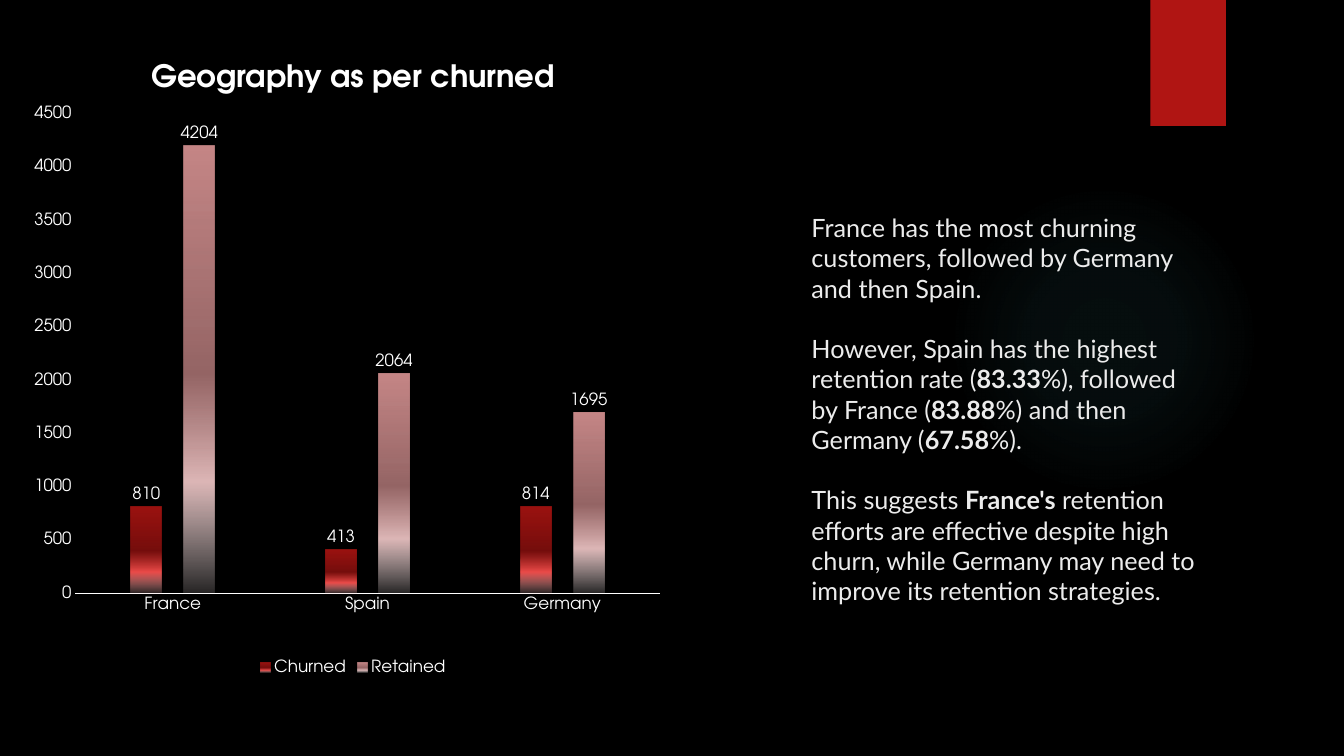
"""Build a slide that charts churned and retained customers by country."""
from dataclasses import dataclass

import pptx
import pptx.chart.data
import pptx.dml.color
import pptx.enum.chart
import pptx.enum.shapes
import pptx.oxml
import pptx.oxml.ns
import pptx.util
from pptx.util import Inches


@dataclass(frozen=True)
class Theme:
    """Colours, fonts and type sizes of the slide."""
    background: str = "000000"
    accent: str = "B01513"
    chart_text: str = "FFFFFF"
    body_text: str = "ECECEC"
    chart_font: str = "TeX Gyre Adventor"
    body_font: str = "Lato"
    title_size: float = 22
    label_size: float = 12
    body_size: float = 18
    body_gap: float = 21.6
    axis_width: float = 0.75
    glow: tuple = ((0, "50B9C1", 7), (36, "50B9C1", 6), (69, "50B9C1", 0))
    churned: tuple = ((0, "9C1311", 100), (51, "9C1311", 75),
                      (75, "EB4B49", 100), (100, "F8C3C2", 15))
    retained: tuple = ((0, "C68787", 100), (51, "C68787", 75),
                       (75, "DDB7B7", 100), (100, "F4E7E7", 15))


THEME = Theme()
COUNTRIES = ("France", "Spain", "Germany")
SERIES = (
    ("Churned", (810, 413, 814), THEME.churned),
    ("Retained", (4204, 2064, 1695), THEME.retained),
)
PLOT_AREA = {"x": 0.066, "y": 0.118, "w": 0.914, "h": 0.748}
FINDINGS = (
    (("France has the most churning customers, followed by Germany and then Spain.", False),),
    (("However, Spain has the highest retention rate (", False), ("83.33", True),
     ("%), followed by France (", False), ("83.88", True),
     ("%) and then Germany (", False), ("67.58", True), ("%).", False)),
    (("This suggests ", False), ("France's", True),
     (" retention efforts are effective despite high churn, while Germany may need"
      " to improve its retention strategies.", False)),
)
LINEAR = '<a:lin ang="5400000" scaled="0"/>'
RADIAL = ('<a:path path="circle"><a:fillToRect l="50000" t="50000" r="50000" b="50000"/>'
          '</a:path>')


def rgb(color):
    """Return the colour object for a hexadecimal string."""
    return pptx.dml.color.RGBColor.from_string(color)


def style_font(font, name, size, color, bold=False):
    """Set typeface, size, colour and weight of a font."""
    font.name = name
    font.size = pptx.util.Pt(size)
    font.bold = bold
    font.color.rgb = rgb(color)


def style_chart_font(font, size=THEME.label_size, bold=False):
    """Apply the chart typeface to a font."""
    style_font(font, THEME.chart_font, size, THEME.chart_text, bold)


def set_gradient(fill, properties, stops, direction):
    """Fill an element with a gradient of (position, colour, opacity) stops."""
    fill.solid()
    stop_list = "".join(
        f'<a:gs pos="{position * 1000}"><a:srgbClr val="{color}">'
        f'<a:alpha val="{opacity * 1000}"/></a:srgbClr></a:gs>'
        for position, color, opacity in stops)
    gradient = pptx.oxml.parse_xml(
        f'<a:gradFill {pptx.oxml.ns.nsdecls("a")} rotWithShape="1">'
        f'<a:gsLst>{stop_list}</a:gsLst>{direction}</a:gradFill>')
    solid = properties.find(pptx.oxml.ns.qn("a:solidFill"))
    properties.replace(solid, gradient)


def add_plain_shape(slide, kind, left, top, width, height):
    """Add a preset shape without line or shadow."""
    shape = slide.shapes.add_shape(
        kind, Inches(left), Inches(top), Inches(width), Inches(height))
    shape.shadow.inherit = False
    shape.line.fill.background()
    return shape


def add_decoration(slide):
    """Add the soft glow and the ribbon at the top."""
    kinds = pptx.enum.shapes.MSO_SHAPE
    glow = add_plain_shape(slide, kinds.OVAL, 9.41, 1.83, 3.08, 3.08)
    set_gradient(glow.fill, glow.element.spPr, THEME.glow, RADIAL)
    ribbon = add_plain_shape(slide, kinds.RECTANGLE, 11.41, 0, 0.75, 1.25)
    ribbon.fill.solid()
    ribbon.fill.fore_color.rgb = rgb(THEME.accent)


def place_plot_area(chart):
    """Fix the inner plot area as fractions of the chart."""
    modes = "".join(f'<c:{side}Mode val="edge"/>' for side in "xy")
    sizes = "".join(f'<c:{side} val="{value}"/>' for side, value in PLOT_AREA.items())
    layout = pptx.oxml.parse_xml(
        f'<c:layout {pptx.oxml.ns.nsdecls("c")}><c:manualLayout>'
        f'<c:layoutTarget val="inner"/>{modes}{sizes}</c:manualLayout></c:layout>')
    plot_area = chart.element.chart.plotArea if hasattr(chart, "element") else \
        chart._chartSpace.chart.plotArea
    for automatic in plot_area.findall(pptx.oxml.ns.qn("c:layout")):
        plot_area.remove(automatic)
    plot_area.insert(0, layout)


def style_axes(chart):
    """Show a plain category line and bare value labels."""
    for axis in (chart.category_axis, chart.value_axis):
        axis.major_tick_mark = pptx.enum.chart.XL_TICK_MARK.NONE
        axis.minor_tick_mark = pptx.enum.chart.XL_TICK_MARK.NONE
        axis.has_major_gridlines = False
        style_chart_font(axis.tick_labels.font)
    chart.category_axis.format.line.color.rgb = rgb(THEME.chart_text)
    chart.category_axis.format.line.width = pptx.util.Pt(THEME.axis_width)
    chart.value_axis.format.line.fill.background()
    chart.value_axis.minimum_scale = 0
    chart.value_axis.maximum_scale = 4500
    chart.value_axis.major_unit = 500


def style_columns(plot):
    """Space the columns, fill them and label their values."""
    plot.gap_width = 355
    plot.overlap = -70
    plot.vary_by_categories = False
    for series, (_, _, stops) in zip(plot.series, SERIES):
        set_gradient(series.format.fill, series._element.get_or_add_spPr(), stops, LINEAR)
        labels = series.data_labels
        labels.show_value = True
        labels.position = pptx.enum.chart.XL_LABEL_POSITION.OUTSIDE_END
        style_chart_font(labels.font)


def add_churn_chart(slide):
    """Add the column chart with its title and legend."""
    data = pptx.chart.data.CategoryChartData()
    data.categories = COUNTRIES
    for name, values, _ in SERIES:
        data.add_series(name, values)
    chart = slide.shapes.add_chart(
        pptx.enum.chart.XL_CHART_TYPE.COLUMN_CLUSTERED,
        Inches(0.33), Inches(0.38), Inches(6.34), Inches(6.36), data).chart
    style_chart_font(chart.font)
    chart.has_title = True
    run = chart.chart_title.text_frame.paragraphs[0].add_run()
    run.text = "Geography as per churned"
    style_chart_font(run.font, THEME.title_size, bold=True)
    chart.chart_title.include_in_layout = False
    chart.has_legend = True
    chart.legend.position = pptx.enum.chart.XL_LEGEND_POSITION.BOTTOM
    chart.legend.include_in_layout = False
    style_chart_font(chart.legend.font)
    style_axes(chart)
    style_columns(chart.plots[0])
    place_plot_area(chart)


def add_findings(slide):
    """Add the paragraphs that interpret the chart."""
    frame = slide.shapes.add_textbox(
        Inches(7.95), Inches(2.06), Inches(4.1), Inches(4.04)).text_frame
    frame.word_wrap = True
    for index, runs in enumerate(FINDINGS):
        paragraph = frame.add_paragraph() if index else frame.paragraphs[0]
        if index:
            paragraph.space_before = pptx.util.Pt(THEME.body_gap)
        for text, bold in runs:
            run = paragraph.add_run()
            run.text = text
            style_font(run.font, THEME.body_font, THEME.body_size, THEME.body_text, bold)


def main():
    """Build and save the presentation."""
    presentation = pptx.Presentation()
    presentation.slide_width = Inches(13.33)
    presentation.slide_height = Inches(7.5)
    slide = presentation.slides.add_slide(presentation.slide_layouts[6])
    slide.background.fill.solid()
    slide.background.fill.fore_color.rgb = rgb(THEME.background)
    add_decoration(slide)
    add_churn_chart(slide)
    add_findings(slide)
    presentation.save("out.pptx")


if __name__ == "__main__":
    main()
